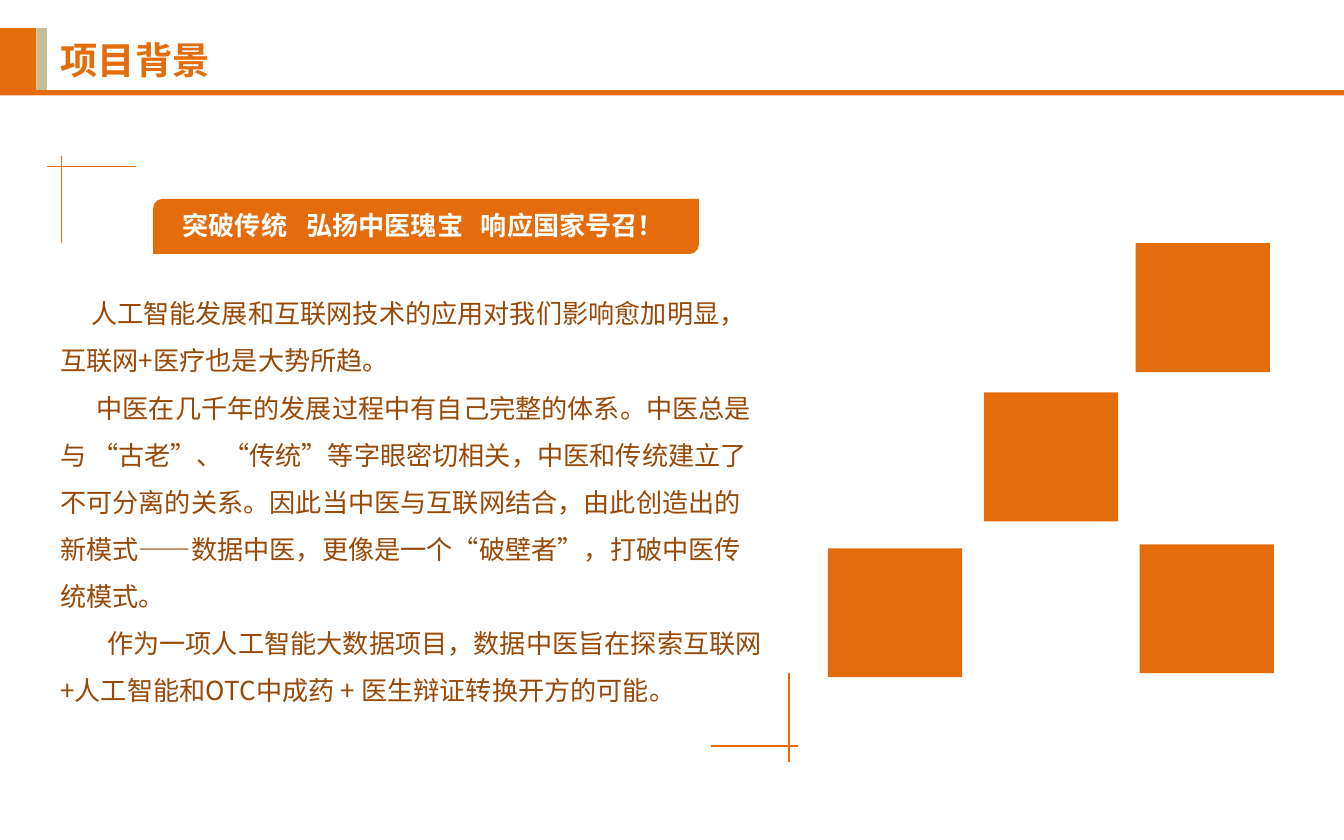
from pptx import Presentation
from pptx.dml.color import RGBColor
from pptx.enum.shapes import MSO_CONNECTOR, MSO_SHAPE
from pptx.enum.text import MSO_ANCHOR, MSO_AUTO_SIZE, PP_ALIGN
from pptx.oxml.ns import qn
from pptx.util import Inches, Pt
from lxml import etree

RECT = MSO_SHAPE.RECTANGLE
BANNER = MSO_SHAPE.ROUND_2_DIAG_RECTANGLE
STRAIGHT = MSO_CONNECTOR.STRAIGHT
LEFT = PP_ALIGN.LEFT
TOP = MSO_ANCHOR.TOP
NO_FIT = MSO_AUTO_SIZE.NONE

FONT = "Noto Sans CJK SC"
COLORS = {"orange": "E46C0A", "tan": "C4BD97", "brown": "984807", "white": "FFFFFF"}

TITLE = "项目背景"
SLOGANS = ["突破传统", "弘扬中医瑰宝", "响应国家号召！"]
SLOGAN_TABS = [0.92, 2.22]
BODY = [
    (0.23, "人工智能发展和互联网技术的应用对我们影响愈加明显，互联网+医疗也是大势所趋。"),
    (0.27, "中医在几千年的发展过程中有自己完整的体系。中医总是与 “古老”、“传统”等字眼密切相关，"
           "中医和传统建立了不可分离的关系。因此当中医与互联网结合，由此创造出的新模式——数据中医，"
           "更像是一个“破壁者”，打破中医传统模式。"),
    (0.35, "作为一项人工智能大数据项目，数据中医旨在探索互联网+人工智能和OTC中成药 + 医生辩证转换开方的可能。"),
]

HEADER = [
    ((0.27, 0.21, 0.08, 0.47), "tan"),
    ((0, 0.21, 0.27, 0.47), "orange"),
    ((0, 0.67, 10, 0.04), "orange"),
]
TILE_SIZE = (1, 0.96)
TILES = [(7.32, 2.92), (8.45, 1.81), (8.48, 4.05), (6.16, 4.08)]
CORNER_LINES = [
    (0.35, 1.24, 1.01, 1.24),
    (0.46, 1.81, 0.46, 1.16),
    (5.29, 5.55, 5.94, 5.55),
    (5.87, 5.67, 5.87, 5.01),
]


def rgb(name):
    return RGBColor.from_string(COLORS[name])


def add_block(s, kind, box, color):
    sp = s.shapes.add_shape(kind, *map(Inches, box))
    sp.shadow.inherit = False
    sp.fill.solid()
    sp.fill.fore_color.rgb = rgb(color)
    sp.line.fill.background()


def add_line(s, ends):
    line = s.shapes.add_connector(STRAIGHT, *map(Inches, ends))
    line.line.color.rgb = rgb("orange")
    line.line.width = Pt(0.75)
    etree.SubElement(line._element.spPr, qn("a:effectLst"))


def set_frame(tf, wrap=True):
    tf.word_wrap = wrap
    tf.auto_size = NO_FIT
    tf.vertical_anchor = TOP
    return tf


def style(p, size, color, bold=False):
    p.alignment = LEFT
    p.font.name = FONT
    p.font.size = Pt(size)
    p.font.bold = bold
    p.font.color.rgb = rgb(color)
    def_rpr = p._p.pPr.find(qn("a:defRPr"))
    etree.SubElement(def_rpr, qn("a:ea"), typeface=FONT)


def add_tabs(p, stops):
    tabs = etree.SubElement(p._p.get_or_add_pPr(), qn("a:tabLst"))
    for stop in stops:
        etree.SubElement(tabs, qn("a:tab"), pos=str(Inches(stop)), algn="l")


def add_title(s):
    sp = s.shapes.title
    sp.left, sp.top, sp.width, sp.height = map(Inches, (0.35, 0.23, 1.32, 0.44))
    p = set_frame(sp.text_frame, wrap=False).paragraphs[0]
    p.text = TITLE
    style(p, 20, "orange", True)


def add_body(s):
    sp = s.shapes.add_textbox(*map(Inches, (0.35, 2.05, 5.46, 3.28)))
    tf = set_frame(sp.text_frame)
    for i, (indent, text) in enumerate(BODY):
        p = tf.paragraphs[0] if i == 0 else tf.add_paragraph()
        p.text = text
        p.line_spacing = 1.5
        ppr = p._p.get_or_add_pPr()
        ppr.set("marL", "0")
        ppr.set("indent", str(Inches(indent)))
        style(p, 14, "brown")


def add_slogans(s):
    sp = s.shapes.add_textbox(*map(Inches, (1.26, 1.51, 4.02, 0.34)))
    p = set_frame(sp.text_frame).paragraphs[0]
    p.text = "\t".join(SLOGANS)
    add_tabs(p, SLOGAN_TABS)
    style(p, 14, "white", True)


def main():
    prs = Presentation()
    prs.slide_width, prs.slide_height = Inches(10), Inches(6.25)
    s = prs.slides.add_slide(prs.slide_layouts[5])
    add_title(s)
    add_block(s, BANNER, (1.14, 1.48, 4.06, 0.41), "orange")
    for box, color in HEADER:
        add_block(s, RECT, box, color)
    add_body(s)
    for corner in TILES:
        add_block(s, RECT, corner + TILE_SIZE, "orange")
    for ends in CORNER_LINES:
        add_line(s, ends)
    add_slogans(s)
    prs.save("out.pptx")


if __name__ == "__main__":
    main()
